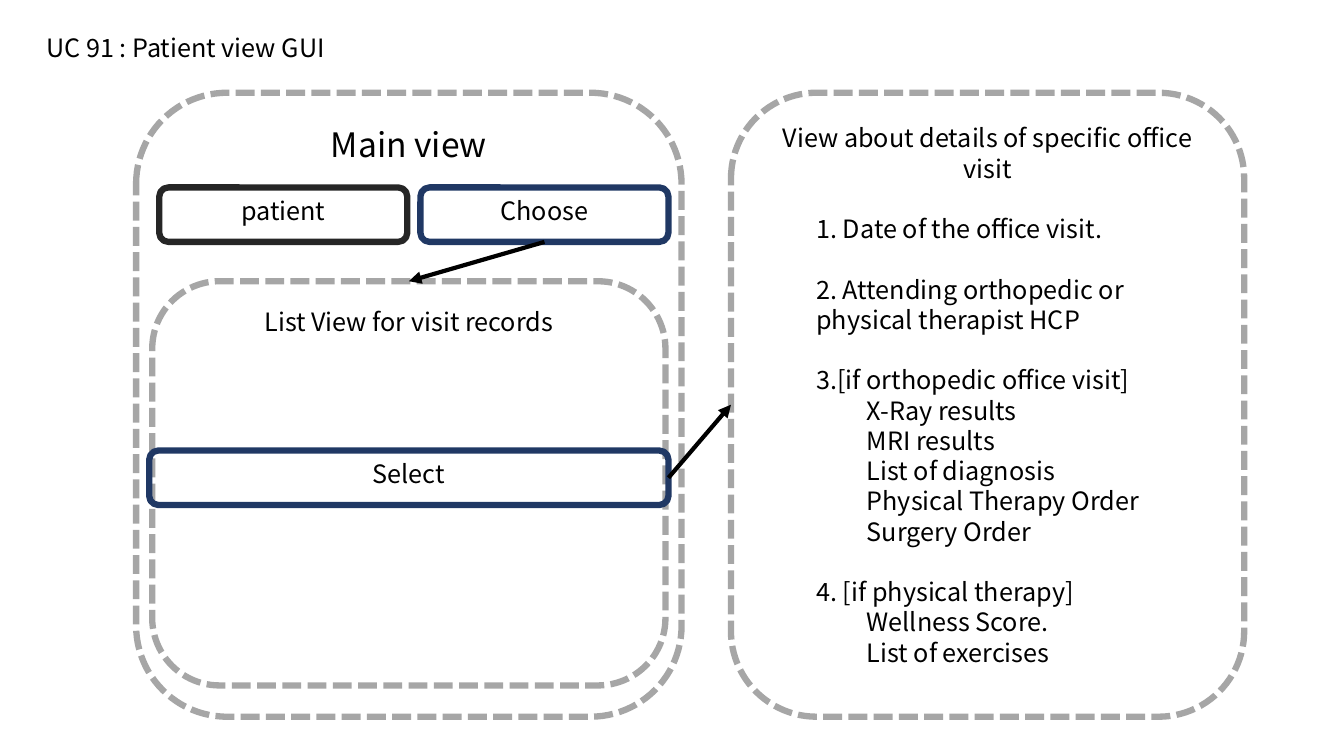
import pptx
import pptx.util
import pptx.dml.color
import pptx.enum.dml
import pptx.enum.shapes
import pptx.enum.text
import pptx.oxml.ns
from lxml import etree

Inches = pptx.util.Inches
Pt = pptx.util.Pt
RGBColor = pptx.dml.color.RGBColor
ALIGN = pptx.enum.text.PP_ALIGN
SHAPES = pptx.enum.shapes.MSO_SHAPE
DASH = pptx.enum.dml.MSO_LINE

BLACK = RGBColor(0x00, 0x00, 0x00)
GREY = RGBColor(0xA6, 0xA6, 0xA6)
CHARCOAL = RGBColor(0x26, 0x26, 0x26)
NAVY = RGBColor(0x20, 0x38, 0x64)

FONT = "Noto Sans CJK KR"
LINE_GAP = 21.6
BUTTON_HEIGHT = 0.54
TOP, BOTTOM, LEFT, RIGHT = 0, 2, 1, 3

VISIT_DETAILS = [
    ("1. Date of the office visit.", []),
    ("2. Attending orthopedic or physical therapist HCP", []),
    ("3.[if orthopedic office visit]",
     ["X-Ray results", "MRI results", "List of diagnosis",
      "Physical Therapy Order", "Surgery Order"]),
    ("4. [if physical therapy]", ["Wellness Score.", "List of exercises"]),
]


def apply_format(target, values):
    for name, value in values.items():
        setattr(target, name, value)


def write(paragraph, text, size=18, align=ALIGN.LEFT, indent=0, gap=0):
    apply_format(paragraph, {"alignment": align, "space_before": Pt(gap)})
    if indent:
        paragraph._p.get_or_add_pPr().set("marL", str(Inches(indent)))
    run = paragraph.add_run()
    run.text = text
    apply_format(run.font, {"name": FONT, "size": Pt(size)})
    run.font.color.rgb = BLACK


def add_box(slide, box, text, color, size=18, dash=None):
    shape = slide.shapes.add_shape(SHAPES.ROUNDED_RECTANGLE, *map(Inches, box))
    shape.shadow.inherit = False
    shape.fill.background()
    shape.line.color.rgb = color
    apply_format(shape.line, {"width": Pt(4.5), "dash_style": dash})
    apply_format(shape.text_frame, {
        "word_wrap": True,
        "vertical_anchor": pptx.enum.text.MSO_ANCHOR.TOP,
    })
    write(shape.text_frame.paragraphs[0], text, size, ALIGN.CENTER)
    return shape


def add_panel(slide, box, title, size=18):
    return add_box(slide, box, title, GREY, size, DASH.SQUARE_DOT)


def add_arrow(slide, source, source_site, target, target_site):
    arrow = slide.shapes.add_connector(
        pptx.enum.shapes.MSO_CONNECTOR.STRAIGHT, 0, 0, 0, 0)
    arrow.begin_connect(source, source_site)
    arrow.end_connect(target, target_site)
    arrow.line.color.rgb = BLACK
    arrow.line.width = Pt(3)
    etree.SubElement(arrow.line._get_or_add_ln(),
                     pptx.oxml.ns.qn("a:tailEnd"), type="triangle")
    etree.SubElement(arrow._element.spPr, pptx.oxml.ns.qn("a:effectLst"))


def add_heading(slide, box):
    heading = slide.shapes.add_textbox(*map(Inches, box))
    heading.text_frame.word_wrap = True
    write(heading.text_frame.paragraphs[0], "UC 91 : Patient view GUI")


def add_main_view(slide, box):
    left, top, width, height = box
    add_panel(slide, box, "Main view", 24)
    button_width, button_step = 2.46, 2.59
    buttons = [
        add_box(slide, (left + 0.23 + column * button_step, top + 0.94,
                        button_width, BUTTON_HEIGHT), label, color)
        for column, (label, color) in enumerate(
            [("patient", CHARCOAL), ("Choose", NAVY)])
    ]
    visit_list = add_panel(
        slide, (left + 0.16, top + 1.87, width - 0.32, height - 2.18),
        "List View for visit records")
    add_arrow(slide, buttons[-1], BOTTOM, visit_list, TOP)
    return add_box(slide, (left + 0.13, top + 3.55, width - 0.26, BUTTON_HEIGHT),
                   "Select", NAVY)


def add_details_view(slide, box):
    panel = add_panel(slide, box, "View about details of specific office visit")
    for heading, entries in VISIT_DETAILS:
        write(panel.text_frame.add_paragraph(), heading, indent=0.5, gap=LINE_GAP)
        for entry in entries:
            write(panel.text_frame.add_paragraph(), entry, indent=1)
    return panel


presentation = pptx.Presentation()
apply_format(presentation, {"slide_width": Inches(13.33),
                            "slide_height": Inches(7.5)})
slide = presentation.slides.add_slide(presentation.slide_layouts[6])
add_heading(slide, (0.36, 0.27, 5.68, 0.4))
select_button = add_main_view(slide, (1.35, 0.92, 5.41, 6.19))
details_view = add_details_view(slide, (7.25, 0.92, 5.09, 6.19))
add_arrow(slide, select_button, RIGHT, details_view, LEFT)
presentation.save("out.pptx")
